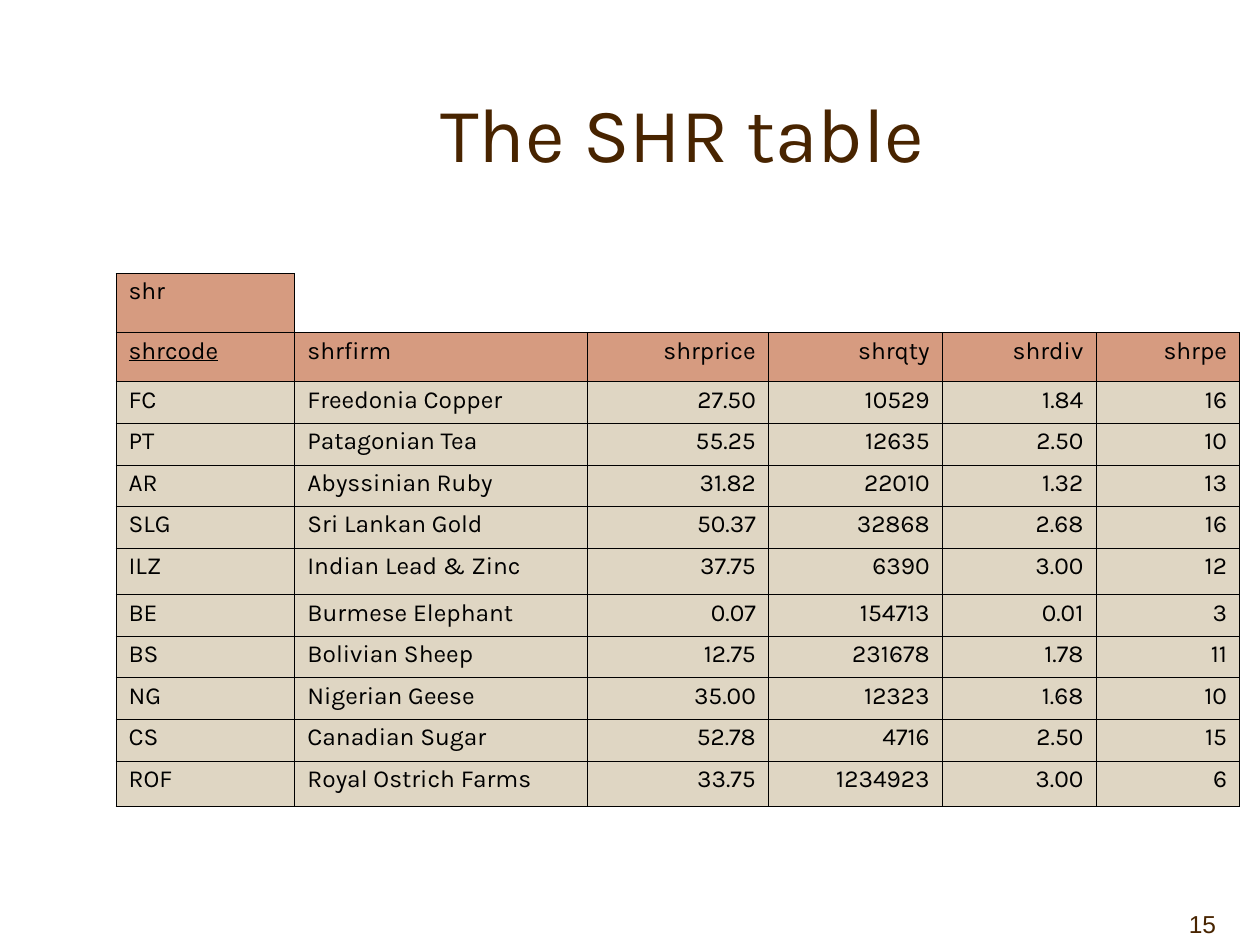
import pptx
import pptx.dml.color
import pptx.enum.text
import pptx.oxml.ns
import pptx.util
from lxml import etree

RGBColor = pptx.dml.color.RGBColor
Align = pptx.enum.text.PP_ALIGN
Anchor = pptx.enum.text.MSO_ANCHOR
Inches = pptx.util.Inches
Pt = pptx.util.Pt
qn = pptx.oxml.ns.qn

BROWN = RGBColor(0x48, 0x24, 0x00)
BLACK = RGBColor(0x00, 0x00, 0x00)
TERRACOTTA = RGBColor(0xD6, 0x9B, 0x80)
SAND = RGBColor(0xDF, 0xD6, 0xC3)

COLUMN_WIDTHS = [1.42, 2.32, 1.44, 1.38, 1.22, 1.14]
NAME_ROW, HEADING_ROW = 0, 1
TABLE_NAME = "shr"
HEADINGS = ["shrcode", "shrfirm", "shrprice", "shrqty", "shrdiv", "shrpe"]
SHARES = [
    ["FC", "Freedonia Copper", "27.50", "10529", "1.84", "16"],
    ["PT", "Patagonian Tea", "55.25", "12635", "2.50", "10"],
    ["AR", "Abyssinian Ruby", "31.82", "22010", "1.32", "13"],
    ["SLG", "Sri Lankan Gold", "50.37", "32868", "2.68", "16"],
    ["ILZ", "Indian Lead & Zinc", "37.75", "6390", "3.00", "12"],
    ["BE", "Burmese Elephant", "0.07", "154713", "0.01", "3"],
    ["BS", "Bolivian Sheep", "12.75", "231678", "1.78", "11"],
    ["NG", "Nigerian Geese", "35.00", "12323", "1.68", "10"],
    ["CS", "Canadian Sugar", "52.78", "4716", "2.50", "15"],
    ["ROF", "Royal Ostrich Farms", "33.75", "1234923", "3.00", "6"],
]
ROW_HEIGHTS = [0.47, 0.39] + [0.33] * 4 + [0.37] + [0.33] * 4 + [0.36]


def add_run(paragraph, words, size, font, color):
    run = paragraph.add_run()
    run.text = words
    run.font.size = Pt(size)
    run.font.name = font
    run.font.color.rgb = color
    return run


def add_label(slide, bounds, words, size, font, align, anchor):
    label = slide.shapes.add_textbox(*map(Inches, bounds))
    frame = label.text_frame
    frame.word_wrap = True
    frame.vertical_anchor = anchor
    frame.paragraphs[0].alignment = align
    add_run(frame.paragraphs[0], words, size, font, BROWN)


def set_borders(cell, visible_sides):
    properties = cell._tc.get_or_add_tcPr()
    for side in "LRTB":
        line = etree.SubElement(properties, qn(f"a:ln{side}"), w=str(Pt(0.45)))
        if side in visible_sides:
            fill = etree.SubElement(line, qn("a:solidFill"))
            etree.SubElement(fill, qn("a:srgbClr"), val=str(BLACK))
        else:
            etree.SubElement(line, qn("a:noFill"))


def fill_cell(cell, words, color, align, space_before):
    set_borders(cell, "LRTB")
    cell.fill.solid()
    cell.fill.fore_color.rgb = color
    paragraph = cell.text_frame.paragraphs[0]
    paragraph.alignment = align
    paragraph.line_spacing = 0.88
    paragraph.space_before = Pt(space_before)
    return add_run(paragraph, words, 14, "Karla", BLACK)


def clear_beside_name(table):
    last = len(COLUMN_WIDTHS) - 1
    table.cell(NAME_ROW, 1).merge(table.cell(NAME_ROW, last))
    for column in range(1, last + 1):
        cell = table.cell(NAME_ROW, column)
        set_borders(cell, "LB" if column == 1 else "B")
        cell.fill.background()


def add_share_table(slide):
    frame = slide.shapes.add_table(
        len(ROW_HEIGHTS), len(COLUMN_WIDTHS), Inches(0.92), Inches(2.17),
        Inches(sum(COLUMN_WIDTHS)), Inches(sum(ROW_HEIGHTS)))
    table = frame.table
    table.first_row = False
    table.horz_banding = False
    for column, width in zip(table.columns, COLUMN_WIDTHS):
        column.width = Inches(width)
    for row, height in zip(table.rows, ROW_HEIGHTS):
        row.height = Inches(height)

    clear_beside_name(table)
    for row, entries in enumerate([[TABLE_NAME], HEADINGS, *SHARES]):
        is_heading = row <= HEADING_ROW
        color = TERRACOTTA if is_heading else SAND
        space_before = 20 if is_heading else 3.5
        for column, words in enumerate(entries):
            align = Align.LEFT if column < 2 else Align.RIGHT
            entry = fill_cell(table.cell(row, column), words, color, align, space_before)
            if (row, column) == (HEADING_ROW, 0):
                entry.font.underline = True


def main():
    deck = pptx.Presentation()
    deck.slide_width = Inches(10)
    deck.slide_height = Inches(7.5)
    slide = deck.slides.add_slide(deck.slide_layouts[6])
    add_label(slide, (1.17, 0.42, 8.5, 1.25), "The SHR table", 44, "Karla",
              Align.CENTER, Anchor.MIDDLE)
    add_share_table(slide)
    add_label(slide, (8.5, 7, 1.25, 0.5), "15", 14, "Arial",
              Align.RIGHT, Anchor.BOTTOM)
    deck.save("out.pptx")


if __name__ == "__main__":
    main()
